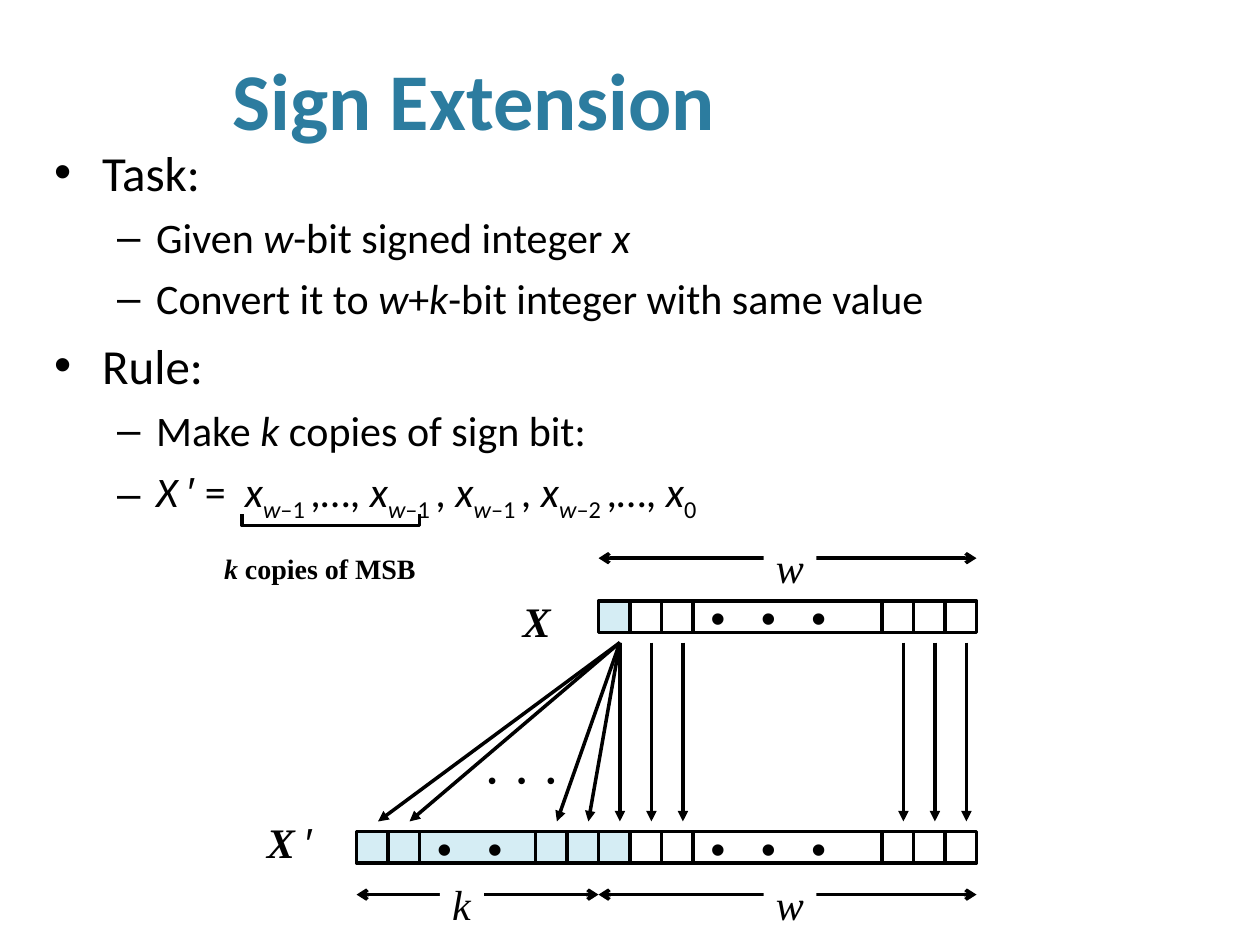
import pptx
import pptx.dml.color
import pptx.enum.shapes
import pptx.enum.text
import pptx.util
from lxml import etree
from pptx.util import Inches

COLORS = {"title": "2C7C9F", "ink": "000000", "paper": "FFFFFF", "sign": "D5EDF4"}
SERIF, MONO = "Times New Roman", "Courier New"
DOTS = "•\u00a0•\u00a0•"
DRAWING = "http://schemas.openxmlformats.org/drawingml/2006/main"

BIT = 0.25
X_TOP, EXTENDED_TOP = 4.77, 6.6
EXTENDED_LEFT, X_LEFT, X_RIGHT = 2.83, 4.75, 7.75
HIGH_BITS = [X_LEFT + BIT * i for i in range(3)]
LOW_BITS = [X_RIGHT - BIT * i for i in (3, 2, 1)]
COPIED_BITS = [EXTENDED_LEFT, EXTENDED_LEFT + BIT, X_LEFT - 2 * BIT, X_LEFT - BIT]


def rgb(name):
    return pptx.dml.color.RGBColor.from_string(COLORS[name])


def sub(index):
    """Runs for x with an index such as w–1."""
    return [("x", "i"), ("w", "is"), (index + " ", "s")]


def fill_paragraph(paragraph, runs, font_name, size, color="ink", bold=None):
    """Style letters: i italic, s subscript, a Arial, n not bold."""
    font = paragraph.font
    font.name, font.size, font.bold = font_name, pptx.util.Pt(size), bold
    font.color.rgb = rgb(color)
    for text, style in runs:
        run = paragraph.add_run()
        run.text = text
        if "i" in style:
            run.font.italic = True
        if "s" in style:
            run._r.get_or_add_rPr().set("baseline", "-25000")
        if "a" in style:
            run.font.name = "Arial"
        if "n" in style:
            run.font.bold = False


def place(shape, left, top, width, height):
    shape.left, shape.top = Inches(left), Inches(top)
    shape.width, shape.height = Inches(width), Inches(height)


def add_title(slide):
    title = slide.shapes.title
    place(title, 0.42, 0.35, 6.68, 0.61)
    frame = title.text_frame
    frame.auto_size = pptx.enum.text.MSO_AUTO_SIZE.NONE
    frame.vertical_anchor = pptx.enum.text.MSO_ANCHOR.TOP
    paragraph = frame.paragraphs[0]
    paragraph.alignment = pptx.enum.text.PP_ALIGN.CENTER
    fill_paragraph(paragraph, [("Sign Extension", "")], "Calibri", 46, "title", True)


def add_outline(slide, items):
    body = slide.placeholders[1]
    place(body, 0.33, 1.08, 9.07, 5.71)
    frame = body.text_frame
    frame.auto_size = pptx.enum.text.MSO_AUTO_SIZE.NONE
    frame.vertical_anchor = pptx.enum.text.MSO_ANCHOR.TOP
    for number, (level, runs) in enumerate(items):
        paragraph = frame.add_paragraph() if number else frame.paragraphs[0]
        paragraph.level = level
        margin, hanging, size, space, mark = (
            (0.81, 0.31, 24, 6, "–") if level else (0.38, 0.38, 28, 7, "•"))
        paragraph.space_before = pptx.util.Pt(space if number else 0)
        properties = paragraph._p.get_or_add_pPr()
        properties.set("marL", str(Inches(margin)))
        properties.set("indent", str(-Inches(hanging)))
        etree.SubElement(properties, f"{{{DRAWING}}}buChar", char=mark)
        fill_paragraph(paragraph, runs, "Calibri", size)


def add_label(slide, box, runs, size, font_name=SERIF, bold=None, fill=None):
    label = slide.shapes.add_textbox(*map(Inches, box))
    label.text_frame.word_wrap = False
    if fill:
        label.fill.solid()
        label.fill.fore_color.rgb = rgb(fill)
    fill_paragraph(label.text_frame.paragraphs[0], runs, font_name, size, bold=bold)


def add_cell(slide, left, top, fill, width=BIT, text=None):
    cell = slide.shapes.add_shape(pptx.enum.shapes.MSO_SHAPE.RECTANGLE,
                                  *map(Inches, (left, top, width, BIT)))
    cell.shadow.inherit = False
    cell.fill.solid()
    cell.fill.fore_color.rgb = rgb(fill)
    cell.line.color.rgb = rgb("ink")
    cell.line.width = pptx.util.Pt(2)
    if text:
        cell.text_frame.word_wrap = False
        cell.text_frame.vertical_anchor = pptx.enum.text.MSO_ANCHOR.MIDDLE
        paragraph = cell.text_frame.paragraphs[0]
        paragraph.alignment = pptx.enum.text.PP_ALIGN.LEFT
        fill_paragraph(paragraph, [(text, "")], MONO, 24)


def add_word(slide, top):
    """The w bits of one integer, sign bit shaded."""
    add_cell(slide, 5.5, top, "paper", 1.5, DOTS)
    for left in HIGH_BITS + LOW_BITS:
        add_cell(slide, left, top, "sign" if left == X_LEFT else "paper")


def add_arrow(slide, start, end, tail="triangle", head=None):
    arrow = slide.shapes.add_connector(pptx.enum.shapes.MSO_CONNECTOR.STRAIGHT,
                                       *map(Inches, (*start, *end)))
    arrow.line.color.rgb = rgb("ink")
    arrow.line.width = pptx.util.Pt(2)
    line = arrow.line._get_or_add_ln()
    for tag, kind in (("headEnd", head), ("tailEnd", tail)):
        if kind:
            etree.SubElement(line, f"{{{DRAWING}}}{tag}", type=kind)
    etree.SubElement(arrow._element.spPr, f"{{{DRAWING}}}effectLst")


def add_dimension(slide, left, right, y, name, label_left, label_width):
    add_arrow(slide, (left, y), (right, y), "arrow", "arrow")
    add_label(slide, (label_left, y - 0.18, label_width, 0.5), [(name, "i")], 24,
              fill="paper")


def add_bracket(slide):
    left, right, top, bottom = map(Inches, (1.92, 3.33, 4.08, 4.17))
    builder = slide.shapes.build_freeform(left, top)
    builder.add_line_segments([(left, bottom), (right, bottom), (right, top)], close=False)
    bracket = builder.convert_to_shape()
    bracket.shadow.inherit = False
    bracket.fill.background()
    bracket.line.color.rgb = rgb("ink")
    bracket.line.width = pptx.util.Pt(2)


def main():
    presentation = pptx.Presentation()
    presentation.slide_width, presentation.slide_height = Inches(10), Inches(7.5)
    slide = presentation.slides.add_slide(presentation.slide_layouts[1])

    # Title and outline
    add_title(slide)
    formula = [("X ", "i"), ("′", "a"), (" =  ", ""), *sub("–1"), (",…, ", ""),
               *sub("–1"), (", ", ""), *sub("–1"), (", ", ""), *sub("–2"),
               (",…, ", ""), ("x", "i"), ("0", "s")]
    add_outline(slide, [
        (0, [("Task:", "")]),
        (1, [("Given ", ""), ("w", "i"), ("-bit signed integer ", ""), ("x", "i")]),
        (1, [("Convert it to ", ""), ("w", "i"), ("+", ""), ("k", "i"),
             ("-bit integer with same value", "")]),
        (0, [("Rule:", "")]),
        (1, [("Make ", ""), ("k", "i"), (" copies of sign bit:", "")]),
        (1, formula),
    ])
    add_bracket(slide)
    add_label(slide, (1.68, 4.33, 1.72, 0.36), [("k", "i"), (" copies of MSB", "")], 16,
              bold=True)

    # Bits of X and of the extended X ′
    add_label(slide, (4.05, 4.68, 0.5, 0.5), [("X", "i")], 24, bold=True)
    add_label(slide, (2.02, 6.43, 0.61, 0.5), [("X ", "i"), ("′", "an")], 24, bold=True)
    add_word(slide, X_TOP)
    add_cell(slide, 3.33, EXTENDED_TOP, "sign", 0.92, DOTS)
    for left in COPIED_BITS:
        add_cell(slide, left, EXTENDED_TOP, "sign")
    add_word(slide, EXTENDED_TOP)

    # Arrows from each bit to its copies
    offset, start_y, end_y = 0.17, 5.1, 6.52
    for left in COPIED_BITS:
        add_arrow(slide, (X_LEFT + offset, start_y), (left + offset, end_y))
    for left in HIGH_BITS + LOW_BITS:
        add_arrow(slide, (left + offset, start_y), (left + offset, end_y))
    add_label(slide, (3.75, 6.02, 0.82, 0.34), [(DOTS, "")], 14, MONO)

    # Widths
    for y in (4.43, 7.1):
        add_dimension(slide, X_LEFT, X_RIGHT, y, "w", 6.06, 0.42)
    add_dimension(slide, EXTENDED_LEFT, X_LEFT, 7.1, "k", 3.49, 0.35)

    presentation.save("out.pptx")


if __name__ == "__main__":
    main()
